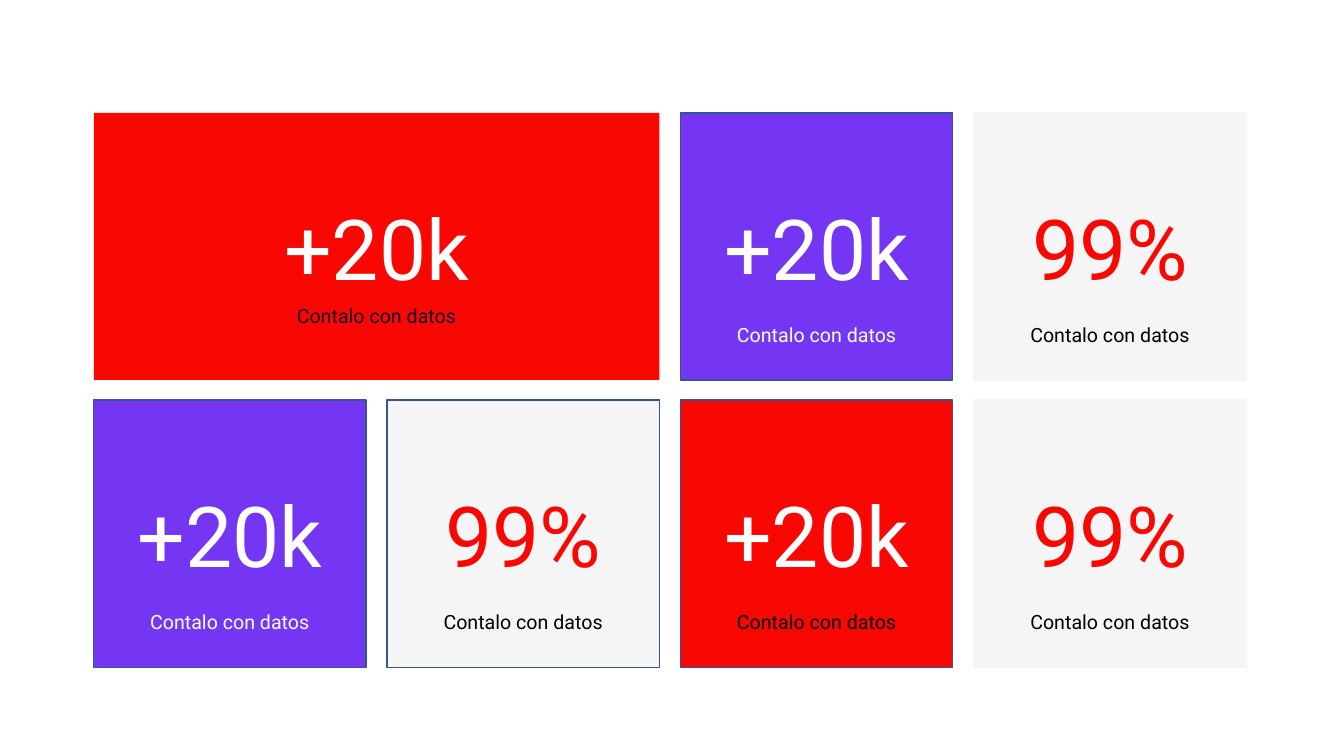
from dataclasses import dataclass

from pptx import Presentation
from pptx.dml.color import RGBColor
from pptx.enum.shapes import MSO_SHAPE
from pptx.enum.text import MSO_ANCHOR, MSO_AUTO_SIZE, PP_ALIGN
from pptx.util import Inches, Pt


@dataclass(frozen=True)
class Theme:
    font: str = "Roboto"
    figure_size: int = 60
    caption_size: int = 14
    red: str = "F80703"
    violet: str = "7436F3"
    grey: str = "F5F5F5"
    border: str = "325491"
    white: str = "FFFFFF"
    black: str = "000000"
    ink: str = "0F002F"


T = Theme()
LEFT, TOP = 0.93, 1.12
CELL_W, CELL_H = 2.7, 2.65
COL_STEP, ROW_STEP = 2.91, 2.85
CAPTION_DROP, CAPTION_H = 2.03, 0.34


def cell_box(col, row, span=1):
    """Left, top, width and height in inches of a card spanning some columns."""
    return (LEFT + col * COL_STEP, TOP + row * ROW_STEP,
            CELL_W + (span - 1) * COL_STEP, CELL_H)


def write(tf, text, size, color, align=PP_ALIGN.CENTER):
    tf.word_wrap = True
    p = tf.paragraphs[0]
    p.alignment = align
    r = p.add_run()
    r.text = text
    r.font.name = T.font
    r.font.size = Pt(size)
    r.font.color.rgb = RGBColor.from_string(color)


def add_card(s, box, figure, fill, figure_color, line=None):
    sp = s.shapes.add_shape(MSO_SHAPE.RECTANGLE, *map(Inches, box))
    sp.shadow.inherit = False
    sp.fill.solid()
    sp.fill.fore_color.rgb = RGBColor.from_string(fill)
    if line:
        sp.line.color.rgb = RGBColor.from_string(line)
        sp.line.width = Pt(1)
    else:
        sp.line.fill.background()
    sp.text_frame.vertical_anchor = MSO_ANCHOR.MIDDLE
    write(sp.text_frame, figure, size=T.figure_size, color=figure_color)


def add_caption(s, box, text, color, drop=CAPTION_DROP):
    """Caption one column wide, centred on the card, drop inches below its top."""
    left, top, width, _ = box
    tb = s.shapes.add_textbox(Inches(left + (width - CELL_W) / 2), Inches(top + drop),
                              Inches(CELL_W), Inches(CAPTION_H))
    write(tb.text_frame, text, size=T.caption_size, color=color)
    tb.text_frame.auto_size = MSO_AUTO_SIZE.SHAPE_TO_FIT_TEXT


def main():
    prs = Presentation()
    prs.slide_width, prs.slide_height = Inches(13.33), Inches(7.5)
    s = prs.slides.add_slide(prs.slide_layouts[6])

    # box, figure, fill, figure colour, border, caption colour, caption drop
    cards = [
        (cell_box(0, 0, span=2), "+20k", T.red, T.white, None, T.ink, 1.85),
        (cell_box(2, 0), "+20k", T.violet, T.white, T.border, T.white, CAPTION_DROP),
        (cell_box(3, 0), "99%", T.grey, T.red, T.grey, T.black, CAPTION_DROP),
        (cell_box(0, 1), "+20k", T.violet, T.white, T.border, T.white, CAPTION_DROP),
        (cell_box(1, 1), "99%", T.grey, T.red, T.border, T.black, CAPTION_DROP),
        (cell_box(2, 1), "+20k", T.red, T.white, T.border, T.black, CAPTION_DROP),
        (cell_box(3, 1), "99%", T.grey, T.red, T.grey, T.black, CAPTION_DROP),
    ]
    for box, figure, fill, figure_color, line, caption_color, drop in cards:
        add_card(s, box, figure, fill, figure_color, line)
        add_caption(s, box, "Contalo con datos", caption_color, drop)

    prs.save("out.pptx")


if __name__ == "__main__":
    main()
